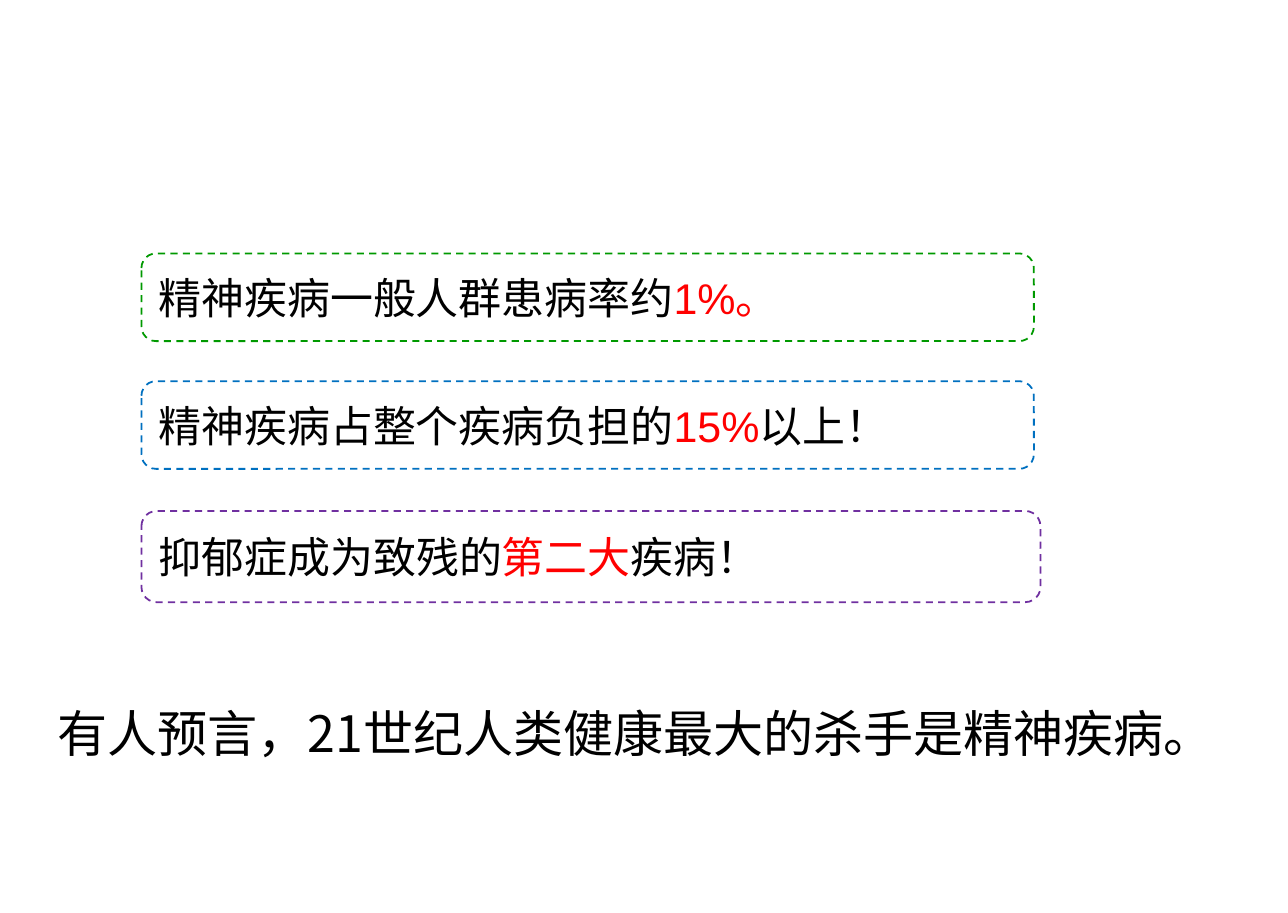
from pptx import Presentation
from pptx.dml.color import RGBColor
from pptx.enum import dml, shapes, text
from pptx.util import Cm, Pt

BLACK, RED = "000000", "FF0000"
FACTS = [
    (5.0, 17.6, 1.73, "009900", [("精神疾病一般人群患病率约", BLACK), ("1%。", RED)]),
    (7.52, 17.6, 1.73, "0070C0",
     [("精神疾病占整个疾病负担的", BLACK), ("15%", RED), ("以上！", BLACK)]),
    (10.08, 17.73, 1.8, "7030A0",
     [("抑郁症成为致残的", BLACK), ("第二大", RED), ("疾病！", BLACK)]),
]


def paint(color, code):
    """Set a colour from a hex string."""
    color.rgb = RGBColor.from_string(code)


def write(frame, parts, font, size):
    """Fill a frame with one left-aligned line of coloured parts."""
    frame.word_wrap = True
    line = frame.paragraphs[0]
    line.alignment = text.PP_ALIGN.LEFT
    line.font.name = font
    line.font.size = Pt(size)
    for words, code in parts:
        run = line.add_run()
        run.text = words
        paint(run.font.color, code)


def add_fact(slide, top, width, height, code, parts):
    """Add a dashed rounded box holding one fact."""
    box = slide.shapes.add_shape(
        shapes.MSO_SHAPE.ROUNDED_RECTANGLE, Cm(2.79), Cm(top), Cm(width), Cm(height))
    box.shadow.inherit = False
    box.fill.background()
    paint(box.line.color, code)
    box.line.width = Pt(1)
    box.line.dash_style = dml.MSO_LINE.DASH
    box.text_frame.vertical_anchor = text.MSO_ANCHOR.MIDDLE
    write(box.text_frame, parts, "Arial", 24)


def add_claim(slide, words):
    """Add the closing sentence below the facts."""
    box = slide.shapes.add_textbox(Cm(0.89), Cm(13.74), Cm(25.4), Cm(1.45))
    write(box.text_frame, [(words, BLACK)], "Noto Sans CJK SC", 28)


def main():
    """Build and save the slide."""
    deck = Presentation()
    deck.slide_width, deck.slide_height = Cm(25.4), Cm(18.01)
    slide = deck.slides.add_slide(deck.slide_layouts[6])
    for fact in FACTS:
        add_fact(slide, *fact)
    add_claim(slide, "有人预言，21世纪人类健康最大的杀手是精神疾病。")
    deck.save("out.pptx")


if __name__ == "__main__":
    main()
